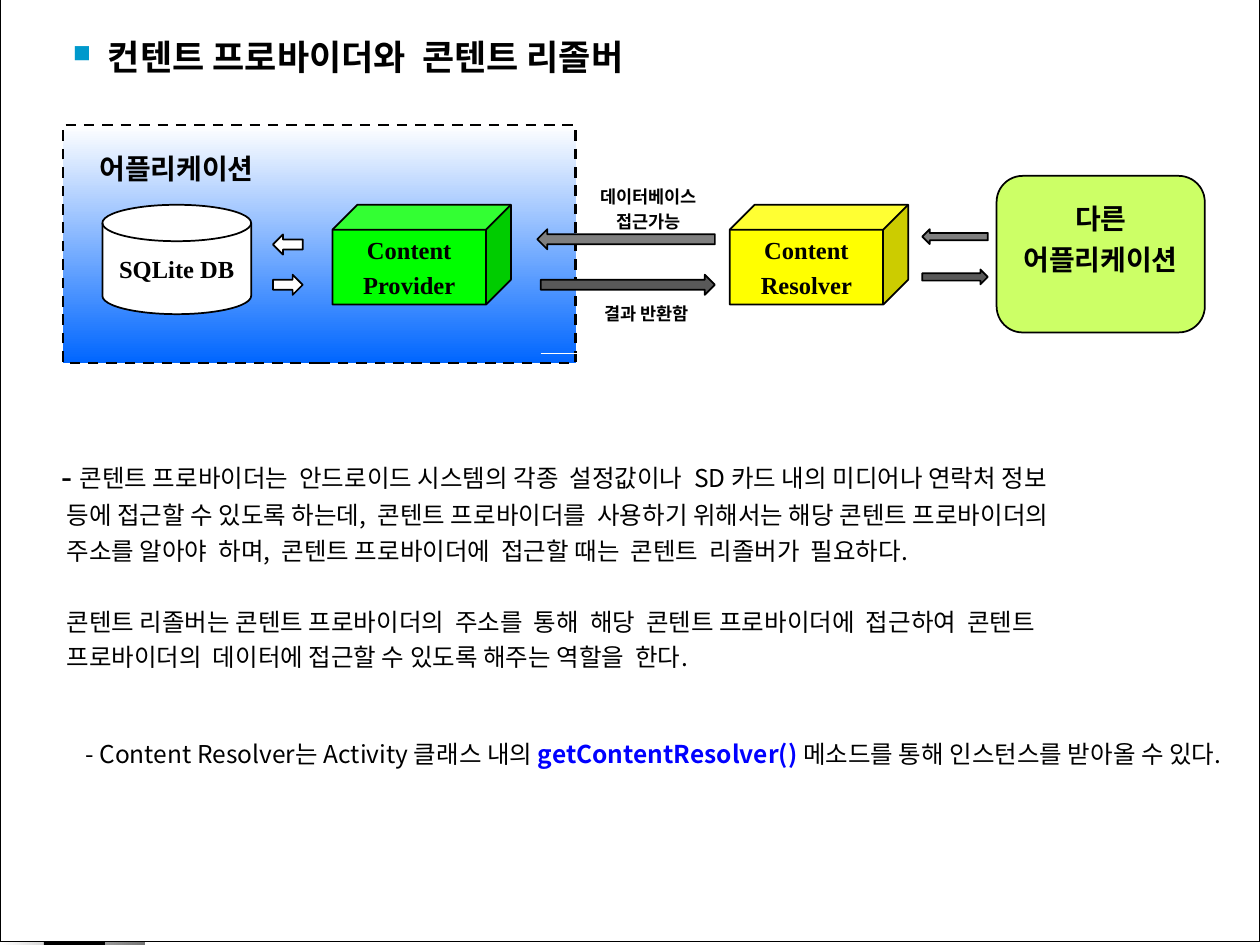
from dataclasses import dataclass
from typing import NamedTuple

from lxml.etree import SubElement
from pptx import Presentation
from pptx.dml.color import RGBColor
from pptx.enum.dml import MSO_LINE
from pptx.enum.shapes import MSO_CONNECTOR, MSO_SHAPE
from pptx.enum.text import MSO_ANCHOR, PP_ALIGN
from pptx.oxml.ns import qn
from pptx.util import Pt

SERIF = "Times New Roman"
KOREAN = "Noto Sans CJK KR"
LINE_HEIGHT = 1.21


class Run(NamedTuple):
    text: str
    size: float = 14
    bold: bool = False
    color: str = "000000"
    font: str = KOREAN


class Line(NamedTuple):
    runs: list[Run]
    space_before: float = 3.5


class Area(NamedTuple):
    left: float
    top: float
    width: float
    height: float


@dataclass
class Node:
    kind: MSO_SHAPE
    area: Area
    fill: str
    lines: list[Line]
    top_inset: float | None = None


@dataclass
class Arrow:
    kind: MSO_SHAPE
    area: Area
    fill: str


@dataclass
class Label:
    area: Area
    lines: list[Line]
    align: PP_ALIGN = PP_ALIGN.CENTER


def hex_color(value: str) -> RGBColor:
    return RGBColor.from_string(value)


def bold_lines(size: float, *texts: str, font: str = SERIF) -> list[Line]:
    return [Line([Run(text, size, True, font=font)], size / 4) for text in texts]


def write_lines(frame, lines: list[Line], align: PP_ALIGN) -> None:
    for index, line in enumerate(lines):
        paragraph = frame.paragraphs[0] if index == 0 else frame.add_paragraph()
        paragraph.alignment = align
        paragraph.line_spacing = Pt(round(line.runs[-1].size * LINE_HEIGHT, 1))
        paragraph.space_before = Pt(line.space_before if index else 0)
        for part in line.runs:
            run = paragraph.add_run()
            run.text = part.text
            run.font.size = Pt(part.size)
            run.font.bold = part.bold
            run.font.name = part.font
            run.font.color.rgb = hex_color(part.color)
            east_asian = SubElement(run.font._element, qn("a:ea"))
            east_asian.set("typeface", KOREAN)


def add_box(slide, kind: MSO_SHAPE, area: Area, fill: str | None, outline: float = 1):
    shape = slide.shapes.add_shape(kind, *map(Pt, area))
    shape.shadow.inherit = False
    if fill:
        shape.fill.solid()
        shape.fill.fore_color.rgb = hex_color(fill)
    if outline:
        shape.line.color.rgb = hex_color("000000")
        shape.line.width = Pt(outline)
    else:
        shape.line.fill.background()
    return shape


def set_gradient(shape, start: str, end: str, angle: float) -> None:
    shape.fill.gradient()
    shape.fill.gradient_angle = angle
    for stop, color in zip(shape.fill.gradient_stops, (start, end)):
        stop.color.rgb = hex_color(color)


def add_node(slide, node: Node) -> None:
    shape = add_box(slide, node.kind, node.area, node.fill)
    frame = shape.text_frame
    frame.word_wrap = False
    frame.vertical_anchor = MSO_ANCHOR.MIDDLE
    if node.top_inset is not None:
        frame.vertical_anchor = MSO_ANCHOR.TOP
        frame.margin_top = Pt(node.top_inset)
    write_lines(frame, node.lines, PP_ALIGN.CENTER)


def add_label(slide, label: Label, wrap: bool = False):
    frame = slide.shapes.add_textbox(*map(Pt, label.area)).text_frame
    frame.word_wrap = wrap
    frame.margin_left = frame.margin_right = Pt(0)
    frame.margin_top = frame.margin_bottom = Pt(0)
    write_lines(frame, label.lines, label.align)
    return frame


def set_indent(paragraph, left: float, first: float):
    properties = paragraph._p.get_or_add_pPr()
    properties.set("marL", str(Pt(left)))
    properties.set("indent", str(Pt(first)))
    return properties


def add_square_bullet(paragraph) -> None:
    properties = set_indent(paragraph, 20, -20)
    color = SubElement(properties, qn("a:buClr"))
    SubElement(color, qn("a:srgbClr")).set("val", "0099CC")
    SubElement(properties, qn("a:buSzPct")).set("val", "70000")
    SubElement(properties, qn("a:buChar")).set("char", "■")


LEFT, RIGHT = MSO_SHAPE.LEFT_ARROW, MSO_SHAPE.RIGHT_ARROW

NODES = [
    Node(MSO_SHAPE.FLOWCHART_MAGNETIC_DISK, Area(58.5, 117, 85, 62.5), "FFFFFF",
         bold_lines(14, "SQLite DB")),
    Node(MSO_SHAPE.CUBE, Area(190, 117, 102, 57), "00FF00",
         bold_lines(14, "Content", "Provider")),
    Node(MSO_SHAPE.CUBE, Area(417, 117, 102, 57), "FFFF00",
         bold_lines(14, "Content", "Resolver")),
    Node(MSO_SHAPE.ROUNDED_RECTANGLE, Area(569.5, 100.5, 119, 89.5), "CCFF66",
         bold_lines(16, "다른", "어플리케이션", font=KOREAN), top_inset=10),
]

ARROWS = [
    Arrow(LEFT, Area(156, 134, 17, 11.5), "FFFFFF"),
    Arrow(RIGHT, Area(156, 157, 17, 11.5), "FFFFFF"),
    Arrow(LEFT, Area(307, 131, 101.5, 11.5), "7F7F7F"),
    Arrow(RIGHT, Area(309, 157, 99.5, 11.5), "595959"),
    Arrow(LEFT, Area(527, 131, 37.5, 8.5), "7F7F7F"),
    Arrow(RIGHT, Area(527, 154, 37.5, 8.5), "595959"),
]

LABELS = [
    Label(Area(50, 86.5, 102, 20), bold_lines(16, "어플리케이션")),
    Label(Area(336, 106, 69, 27), bold_lines(10, "데이터베이스", "접근가능")),
    Label(Area(338, 173, 63, 13), bold_lines(10, "결과 반환함")),
    Label(Area(35, 422, 677, 17), [Line([
        Run("- Content Resolver는 Activity 클래스 내의 "),
        Run("getContentResolver() ", bold=True, color="0000FF"),
        Run("메소드를 통해 인스턴스를 받아올 수 있다."),
    ])]),
]

TITLE = Label(Area(41.5, 20, 315, 49), bold_lines(20, "컨텐트 프로바이더와  콘텐트 리졸버"))

BODY = Label(Area(35, 265.5, 660, 120), [
    Line([Run("- ", 18, True, font=SERIF),
          Run("콘텐트 프로바이더는  안드로이드 시스템의 각종  설정값이나  SD 카드 내의 미디어나 연락처 정보")]),
    Line([Run("등에 접근할 수 있도록 하는데,  콘텐트 프로바이더를  사용하기 위해서는 해당 콘텐트 프로바이더의")]),
    Line([Run("주소를 알아야  하며,  콘텐트 프로바이더에  접근할 때는  콘텐트  리졸버가  필요하다.")]),
    Line([Run("콘텐트 리졸버는 콘텐트 프로바이더의  주소를  통해  해당  콘텐트 프로바이더에  접근하여  콘텐트")], 23.5),
    Line([Run("프로바이더의  데이터에 접근할 수 있도록 해주는 역할을  한다.")]),
], PP_ALIGN.LEFT)


def main() -> None:
    presentation = Presentation()
    presentation.slide_width, presentation.slide_height = Pt(720), Pt(540)
    slide = presentation.slides.add_slide(presentation.slide_layouts[6])

    # Bottom edge decoration and page frame
    strip = add_box(slide, MSO_SHAPE.RECTANGLE, Area(0, 530, 83, 10), None, 0)
    set_gradient(strip, "FFFFFF", "767676", 0)
    add_box(slide, MSO_SHAPE.RECTANGLE, Area(25, 530, 35, 10), "000000", 0)
    add_box(slide, MSO_SHAPE.RECTANGLE, Area(0, -2, 720, 540), "FFFFFF")

    # Title and body text
    title = add_label(slide, TITLE, wrap=True)
    add_square_bullet(title.paragraphs[0])
    body = add_label(slide, BODY)
    for index, paragraph in enumerate(body.paragraphs):
        set_indent(paragraph, 3, 0 if index else -3)

    # Application area
    application = add_box(slide, MSO_SHAPE.RECTANGLE, Area(36, 71.5, 293, 136), None, 1.5)
    set_gradient(application, "FFFFFF", "0066FF", 270)
    application.line.dash_style = MSO_LINE.DASH
    rule = slide.shapes.add_connector(
        MSO_CONNECTOR.STRAIGHT, Pt(309), Pt(202), Pt(337.5), Pt(202))
    rule.line.color.rgb = hex_color("FFFFFF")
    rule.line.width = Pt(0.25)
    SubElement(rule._element.spPr, qn("a:effectLst"))

    # Diagram
    for node in NODES:
        add_node(slide, node)
    for arrow in ARROWS:
        add_box(slide, arrow.kind, arrow.area, arrow.fill)
    for label in LABELS:
        add_label(slide, label)

    presentation.save("out.pptx")


if __name__ == "__main__":
    main()
